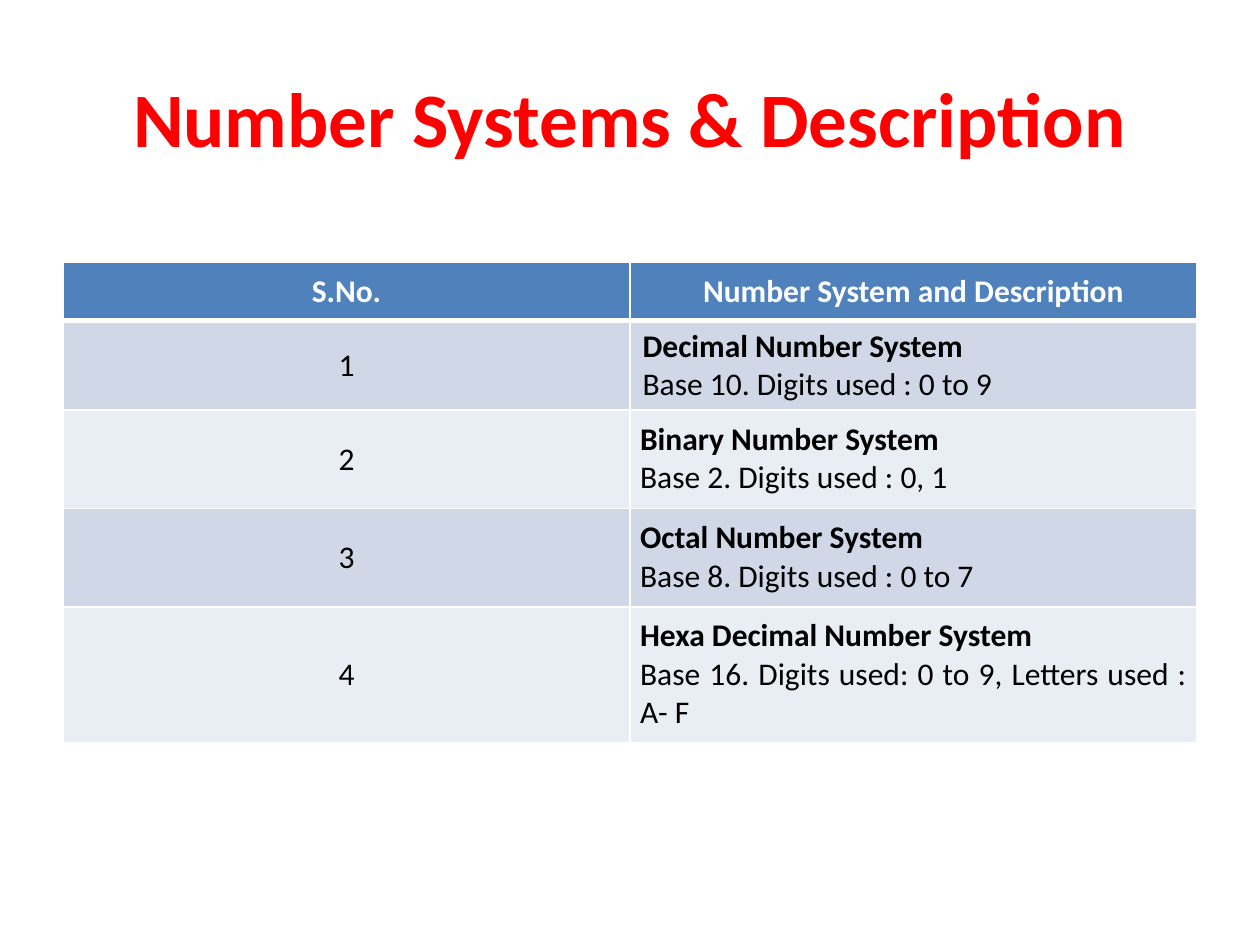
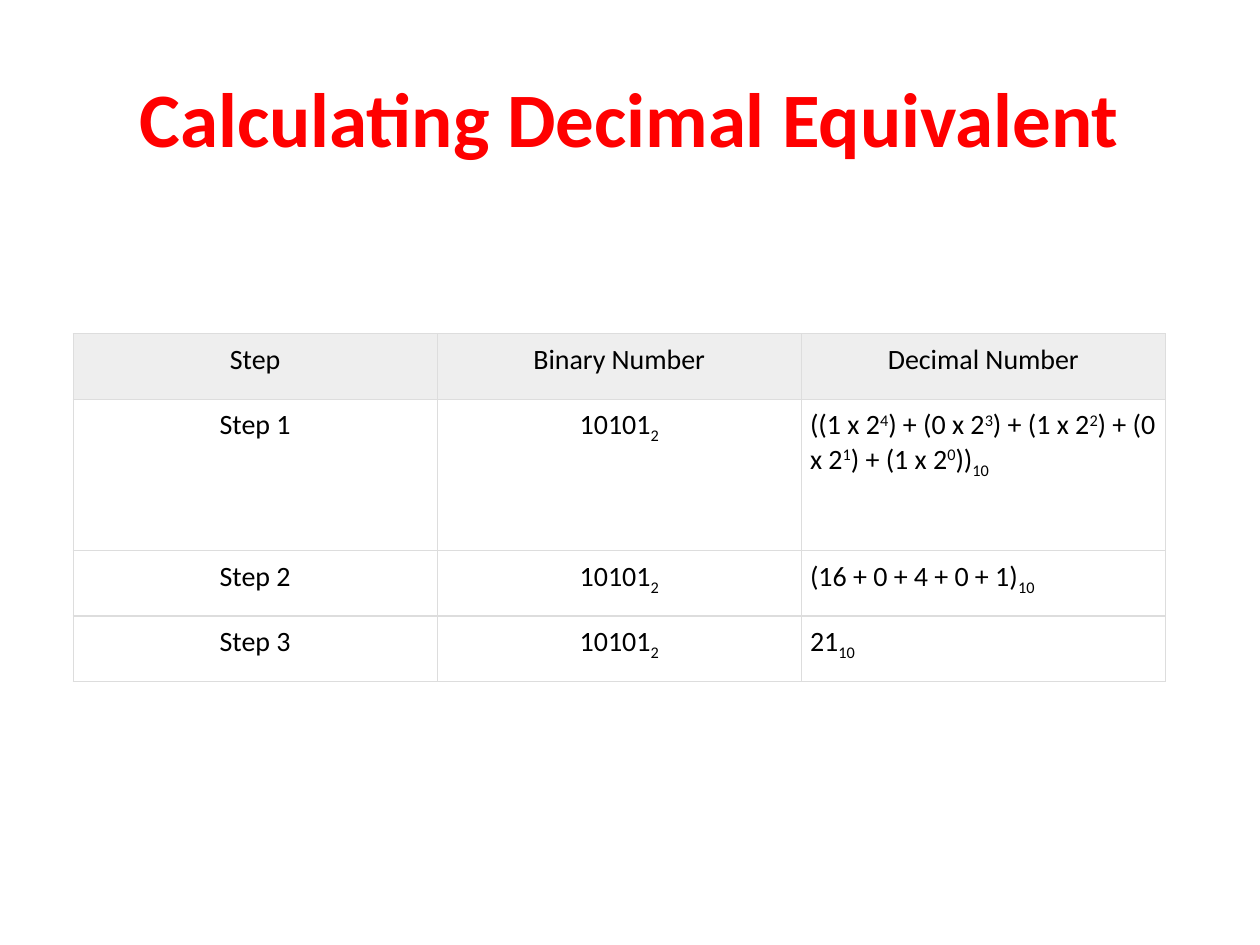
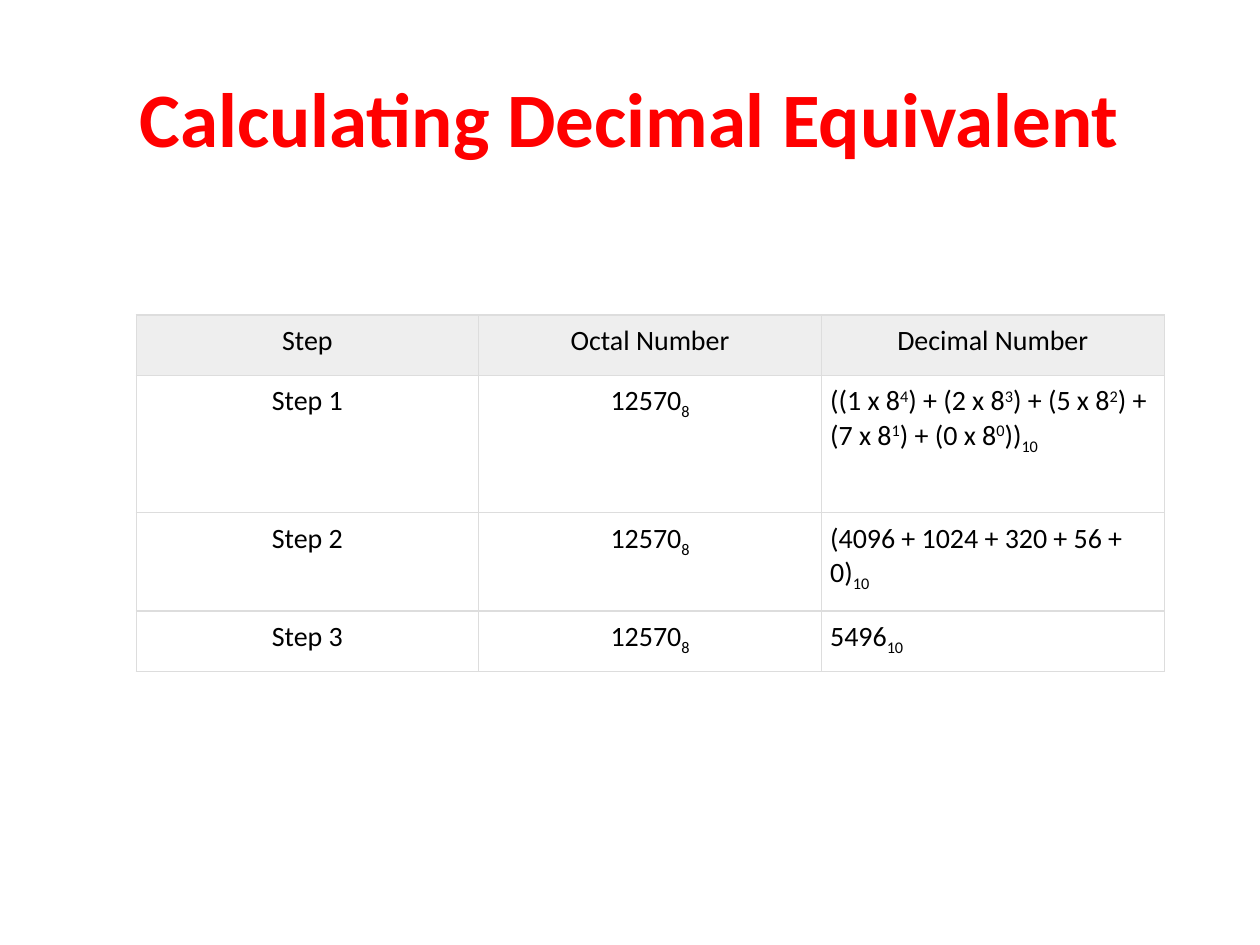
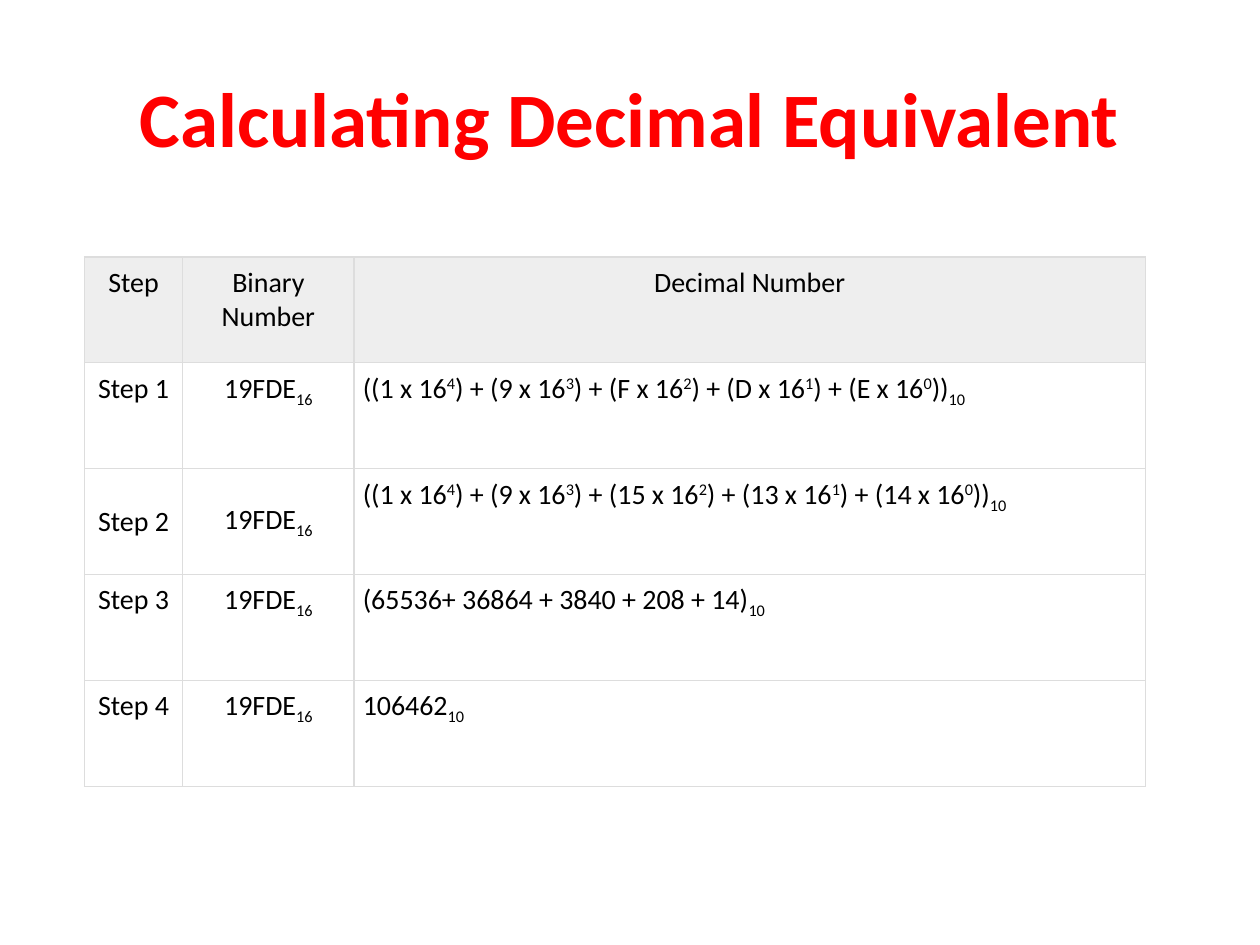
from dataclasses import dataclass

from lxml import etree
from pptx import Presentation
from pptx.dml.color import RGBColor
from pptx.enum import text
from pptx.oxml import ns
from pptx.util import Inches, Pt

FONT = "Calibri"
RED = RGBColor(0xFF, 0x00, 0x00)
BLACK = RGBColor(0x00, 0x00, 0x00)
WHITE = RGBColor(0xFF, 0xFF, 0xFF)
BLUE = RGBColor(0x4F, 0x81, 0xBD)
BANDS = (RGBColor(0xD0, 0xD8, 0xE8), RGBColor(0xE9, 0xED, 0xF4))
HEADER_GREY = RGBColor(0xEE, 0xEE, 0xEE)
BORDER_GREY = RGBColor(0xDD, 0xDD, 0xDD)

CENTER, LEFT, JUSTIFY = (text.PP_ALIGN.CENTER, text.PP_ALIGN.LEFT,
                         text.PP_ALIGN.JUSTIFY)
TOP, MIDDLE = text.MSO_ANCHOR.TOP, text.MSO_ANCHOR.MIDDLE
SUPERSCRIPT, SUBSCRIPT = 30000, -25000
PLAIN_TABLE_STYLE = "{2D5ABB26-0587-4C30-8999-92F81FD0307C}"


@dataclass
class Run:
    text: str
    baseline: int = 0
    bold: bool = False


@dataclass
class Cell:
    paragraphs: list[list[Run]]
    align: text.PP_ALIGN = CENTER
    anchor: text.MSO_ANCHOR = TOP
    fill: RGBColor | None = None
    color: RGBColor = BLACK
    margins: tuple[float, float] = (0.07, 0.07)  # sides, top and bottom


@dataclass
class TableStyle:
    size: int
    border: RGBColor
    width: float
    header_rule: float


@dataclass
class Grid:
    left: float
    top: float
    columns: list[float]
    rows: list[float]


SYSTEMS_STYLE = TableStyle(18, WHITE, 1, 3)
STEPS_STYLE = TableStyle(16, BORDER_GREY, 0.75, 0.75)


def based(digits: str, base: int) -> list[Run]:
    """A number with its base as a subscript."""
    return [Run(digits), Run(str(base), SUBSCRIPT)]


def expansion(digits: list[str], base: int) -> list[Run]:
    """The weighted sum of the digits, ((d x base^n) + ...), in base 10."""
    runs = []
    for i, digit in enumerate(digits):
        opening = ") + (" if i else "(("
        runs += [Run(f"{opening}{digit} x {base}"),
                 Run(str(len(digits) - 1 - i), SUPERSCRIPT)]
    return runs + based("))", 10)


def set_borders(cell, style: TableStyle, row: int) -> None:
    widths = {"L": style.width, "R": style.width,
              "T": style.header_rule if row == 1 else style.width,
              "B": style.header_rule if row == 0 else style.width}
    tc_pr = cell._tc.get_or_add_tcPr()
    for side, width in widths.items():
        ln = etree.SubElement(tc_pr, ns.qn(f"a:ln{side}"), w=str(Pt(width)))
        solid = etree.SubElement(ln, ns.qn("a:solidFill"))
        etree.SubElement(solid, ns.qn("a:srgbClr"), val=str(style.border))


def fill_cell(cell, content: Cell, size: int) -> None:
    if content.fill is None:
        cell.fill.background()
    else:
        cell.fill.solid()
        cell.fill.fore_color.rgb = content.fill
    sides, ends = content.margins
    cell.margin_left = cell.margin_right = Inches(sides)
    cell.margin_top = cell.margin_bottom = Inches(ends)
    cell.vertical_anchor = content.anchor
    tf = cell.text_frame
    for i, runs in enumerate(content.paragraphs):
        p = tf.add_paragraph() if i else tf.paragraphs[0]
        p.alignment = content.align
        for run in runs:
            r = p.add_run()
            r.text = run.text
            r.font.name, r.font.size = FONT, Pt(size)
            r.font.bold = run.bold
            r.font.color.rgb = content.color
            if run.baseline:
                r.font._element.set("baseline", str(run.baseline))


def add_table(slide, grid: Grid, style: TableStyle,
              rows: list[list[Cell]]) -> None:
    table = slide.shapes.add_table(
        len(grid.rows), len(grid.columns), Inches(grid.left), Inches(grid.top),
        Inches(sum(grid.columns)), Inches(sum(grid.rows))).table
    table.horz_banding = False
    table._tbl.tblPr.find(ns.qn("a:tableStyleId")).text = PLAIN_TABLE_STYLE
    for column, width in zip(table.columns, grid.columns):
        column.width = Inches(width)
    for row, height in zip(table.rows, grid.rows):
        row.height = Inches(height)
    for i, contents in enumerate(rows):
        for j, content in enumerate(contents):
            cell = table.cell(i, j)
            set_borders(cell, style, i)
            fill_cell(cell, content, style.size)


def add_titled_slide(prs, title: str):
    slide = prs.slides.add_slide(prs.slide_layouts[5])
    sp = slide.shapes.title
    sp.left, sp.top = Inches(0.5), Inches(0.3)
    sp.width, sp.height = Inches(9), Inches(1.25)
    sp.text_frame.vertical_anchor = MIDDLE
    p = sp.text_frame.paragraphs[0]
    p.alignment = CENTER
    r = p.add_run()
    r.text = title
    r.font.name, r.font.size, r.font.bold = FONT, Pt(44), True
    r.font.color.rgb = RED
    return slide


def add_systems_slide(prs) -> None:
    systems = [
        ("Decimal Number System", "Base 10. Digits used : 0 to 9"),
        ("Binary Number System", "Base 2. Digits used : 0, 1"),
        ("Octal Number System", "Base 8. Digits used : 0 to 7"),
        ("Hexa Decimal Number System",
         "Base 16. Digits used: 0 to 9, Letters used : A- F"),
    ]
    even = (0.08, 0.08)
    rows = [[Cell([[Run(label, bold=True)]], fill=BLUE, color=WHITE,
                  margins=even)
             for label in ("S.No.", "Number System and Description")]]
    for number, (name, description) in enumerate(systems, 1):
        band = BANDS[(number - 1) % 2]
        rows.append([
            Cell([[Run(str(number))]], anchor=MIDDLE, fill=band, margins=even),
            Cell([[Run(name, bold=True)], [Run(description)]], JUSTIFY,
                 fill=band, margins=(0.1, 0.05) if number == 1 else even),
        ])
    slide = add_titled_slide(prs, "Number Systems & Description")
    grid = Grid(0.5, 2.08, [4.5] * 2, [0.46, 0.71, 0.78, 0.78, 1.08])
    add_table(slide, grid, SYSTEMS_STYLE, rows)


def add_steps_slide(prs, grid: Grid, source: str, number: list[Run],
                    results: list[list[Run]],
                    centred_step: int | None = None) -> None:
    """A conversion to decimal, one step a row, with the number repeated."""
    rows = [[Cell([[Run(label)]], fill=HEADER_GREY)
             for label in ("Step", source, "Decimal Number")]]
    for step, result in enumerate(results, 1):
        anchor = MIDDLE if step == centred_step else TOP
        rows.append([Cell([[Run(f"Step {step}")]], anchor=anchor),
                     Cell([number], anchor=anchor),
                     Cell([result], LEFT)])
    slide = add_titled_slide(prs, "Calculating Decimal Equivalent")
    add_table(slide, grid, STEPS_STYLE, rows)


def main() -> None:
    prs = Presentation()
    prs.slide_width, prs.slide_height = Inches(10), Inches(7.5)
    add_systems_slide(prs)
    add_steps_slide(
        prs, Grid(0.58, 2.65, [2.89] * 3, [0.52, 1.2, 0.52, 0.52]),
        "Binary Number", based("10101", 2),
        [expansion(list("10101"), 2),
         based("(16 + 0 + 4 + 0 + 1)", 10),
         based("21", 10)])
    add_steps_slide(
        prs, Grid(1.08, 2.5, [2.72] * 3, [0.48, 1.09, 0.78, 0.48]),
        "Octal Number", based("12570", 8),
        [expansion(list("12570"), 8),
         based("(4096 + 1024 + 320 + 56 + 0)", 10),
         based("5496", 10)])
    add_steps_slide(
        prs, Grid(0.67, 2.04, [0.78, 1.36, 6.28], [0.84] * 5),
        "Binary Number", based("19FDE", 16),
        [expansion(list("19FDE"), 16),
         expansion(["1", "9", "15", "13", "14"], 16),
         based("(65536+ 36864 + 3840 + 208 + 14)", 10),
         based("106462", 10)],
        centred_step=2)
    prs.save("out.pptx")


if __name__ == "__main__":
    main()
